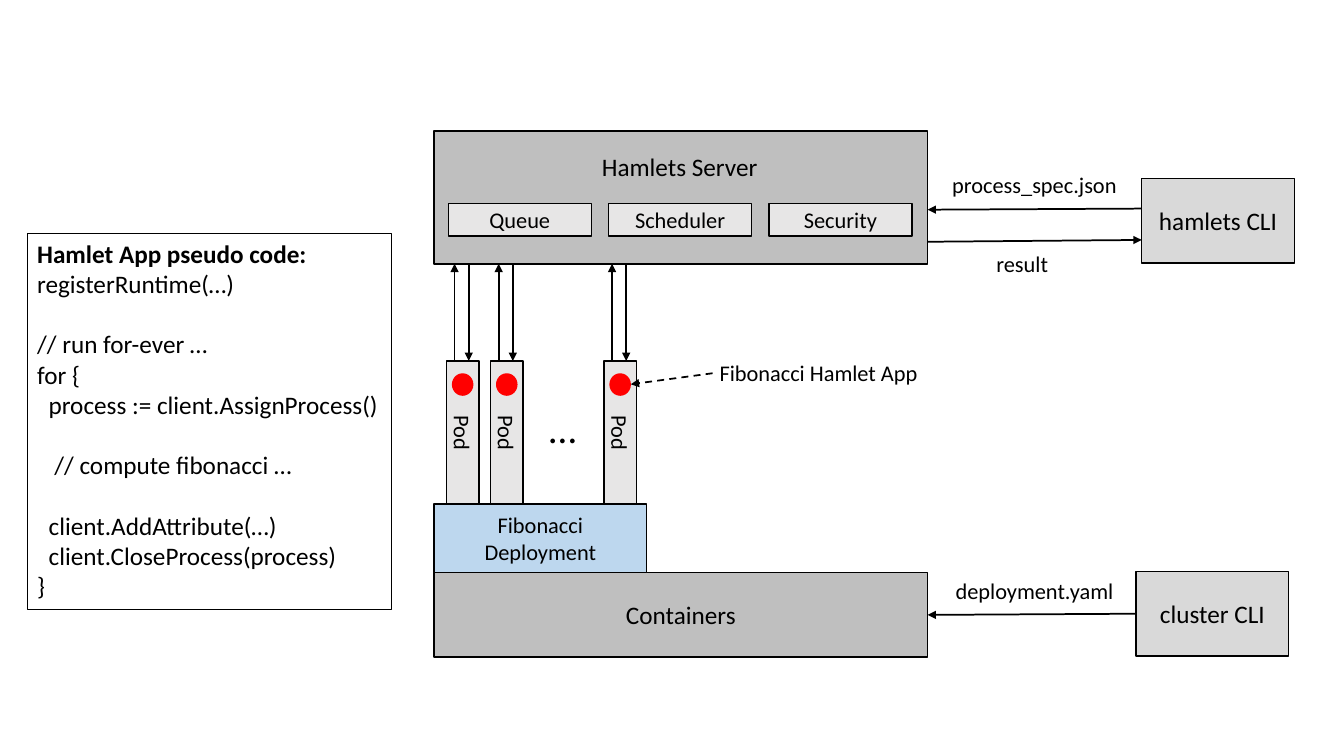
from lxml.etree import SubElement
from pptx import Presentation
from pptx.dml.color import RGBColor
from pptx.enum.dml import MSO_LINE
from pptx.enum.shapes import MSO_CONNECTOR, MSO_SHAPE
from pptx.enum.text import MSO_ANCHOR, PP_ALIGN
from pptx.oxml.ns import qn
from pptx.util import Pt

BLACK, RED = "000000", "FF0000"
DARK, MID, LIGHT, BLUE = "BFBFBF", "D9D9D9", "E7E6E6", "BDD7EE"


def color(hex_text):
    return RGBColor.from_string(hex_text)


def put_text(tf, text, size=16, align=PP_ALIGN.LEFT, anchor=MSO_ANCHOR.TOP, wrap=True):
    tf.word_wrap = wrap
    tf.vertical_anchor = anchor
    for i, line in enumerate(text.split("\n")):
        p = tf.paragraphs[0] if i == 0 else tf.add_paragraph()
        p.alignment = align
        r = p.add_run()
        r.text = line
        r.font.name, r.font.size = "Calibri", Pt(size)
        r.font.color.rgb = color(BLACK)


def add_label(s, box, text, **fmt):
    tb = s.shapes.add_textbox(*map(Pt, box))
    put_text(tb.text_frame, text, **fmt)


def add_box(s, box, fill=None, text="", size=16, kind=MSO_SHAPE.RECTANGLE,
            line=BLACK, width=1):
    sp = s.shapes.add_shape(kind, *map(Pt, box))
    sp.shadow.inherit = False
    if fill:
        sp.fill.solid()
        sp.fill.fore_color.rgb = color(fill)
    else:
        sp.fill.background()
    sp.line.color.rgb = color(line)
    sp.line.width = Pt(width)
    if text:
        put_text(sp.text_frame, text, size=size, align=PP_ALIGN.CENTER,
                 anchor=MSO_ANCHOR.MIDDLE)
    return sp


def add_arrow(s, x1, y1, x2, y2, dashed=False):
    c = s.shapes.add_connector(MSO_CONNECTOR.STRAIGHT, *map(Pt, (x1, y1, x2, y2)))
    c.line.color.rgb = color(BLACK)
    c.line.width = Pt(1.25)
    if dashed:
        c.line.dash_style = MSO_LINE.DASH
    SubElement(c.get_or_add_ln(), qn("a:tailEnd"), type="triangle")
    SubElement(c._element.spPr, qn("a:effectLst"))
    return c


def pseudo_code(s, box):
    sp = add_box(s, box, width=0.75)
    lines = [  # text, indent, space before
        ("Hamlet App pseudo code:", 0, 0),
        ("registerRuntime(…)", 0, 0),
        ("// run for-ever …", 0, 21.6),
        ("for {", 0, 0),
        ("process := client.AssignProcess()", 8.2, 0),
        ("// compute fibonacci …", 12.3, 21.6),
        ("client.AddAttribute(…)", 8.2, 21.6),
        ("client.CloseProcess(process)", 8.2, 0),
        ("}", 0, 0),
    ]
    tf = sp.text_frame
    put_text(tf, "\n".join(text for text, _, _ in lines), size=18, wrap=False)
    for p, (_, indent, before) in zip(tf.paragraphs, lines):
        p.space_before = Pt(before)
        p._p.get_or_add_pPr().set("marL", str(Pt(indent)))
    tf.paragraphs[0].runs[0].font.bold = True


def cluster(s, box):
    x, y, w, h = box
    base = add_box(s, box, DARK, "Containers", size=18)
    add_box(s, (x, y - 49, 152, 49), BLUE, "Fibonacci\nDeployment")
    return base


def server(s, box):
    x, y, w, h = box
    add_box(s, box, DARK)
    add_label(s, (x - 64.5, y + 10.8, 480, 28.8), "Hamlets Server", size=18,
              align=PP_ALIGN.CENTER)
    for i, part in enumerate(("Queue", "Scheduler", "Security")):
        add_box(s, (x + 10.2 + 114.5 * i, y + 51.8, 102.2, 23.2), LIGHT, part)


def pod(s, box, server_bottom):
    x, y, w, h = box
    mid_x, mid_y = x + w / 2, y + h / 2
    # The turned rectangle keeps its centre
    sp = add_box(s, (mid_x - h / 2, mid_y - w / 2, h, w), LIGHT, "Pod")
    sp.rotation = 90
    add_box(s, (mid_x - 7.2, y + 9.3, 14.4, 15.1), RED, kind=MSO_SHAPE.OVAL, line=RED)
    # Traffic to and from the server
    add_arrow(s, mid_x - 5.8, y, mid_x - 5.8, server_bottom)
    add_arrow(s, mid_x + 4.3, server_bottom, mid_x + 4.3, y)


def pods(s, box, server_bottom):
    x, y, w, h = box
    for dx in (0, 31.5, 112.5):
        pod(s, (x + dx, y, 23.2, h), server_bottom)
    add_label(s, (x + 66.3, y + 27.6, 33.8, 41), "…", size=28, wrap=False)
    add_label(s, (x + w + 52.3, y - 4.9, 171.4, 26.6), "Fibonacci Hamlet App")
    add_arrow(s, x + w + 54.4, y + 8.8, x + w - 4, y + 16.7, dashed=True)


def server_client(s, box, server_right):
    x, y, w, h = box
    add_box(s, box, MID, "hamlets CLI", size=18)
    add_label(s, (server_right + 10.5, y - 8.6, 140.4, 26.6), "process_spec.json")
    add_arrow(s, x, y + 21.6, server_right, y + 22.4)
    add_arrow(s, server_right, y + 45.3, x, y + 44)
    add_label(s, (server_right + 42, y + 47.5, 140.4, 26.6), "result")


def cluster_client(s, box, base):
    x, y, w, h = box
    sp = add_box(s, box, MID, "cluster CLI", size=18)
    c = add_arrow(s, x, y + h / 2, x - 149, y + h / 2)
    c.begin_connect(sp, 1)
    c.end_connect(base, 3)
    add_label(s, (x - 136, y + 0.6, 140.4, 26.6), "deployment.yaml")


def main():
    prs = Presentation()
    prs.slide_width, prs.slide_height = Pt(960), Pt(540)
    s = prs.slides.add_slide(prs.slide_layouts[6])
    left, width = 310, 352.6
    right = left + width
    # Left column
    pseudo_code(s, (19.5, 166.5, 260.5, 269))
    # Middle column, bottom to top
    base = cluster(s, (left, 409, width, 60.4))
    server(s, (left, 93.6, width, 95))
    pods(s, (318.9, 257.8, 135.7, 102.2), 188.4)
    # Right column
    server_client(s, (815.5, 127.4, 109, 60.4), right)
    cluster_client(s, (811.5, 408.2, 109, 60.4), base)
    prs.save("out.pptx")


if __name__ == "__main__":
    main()
